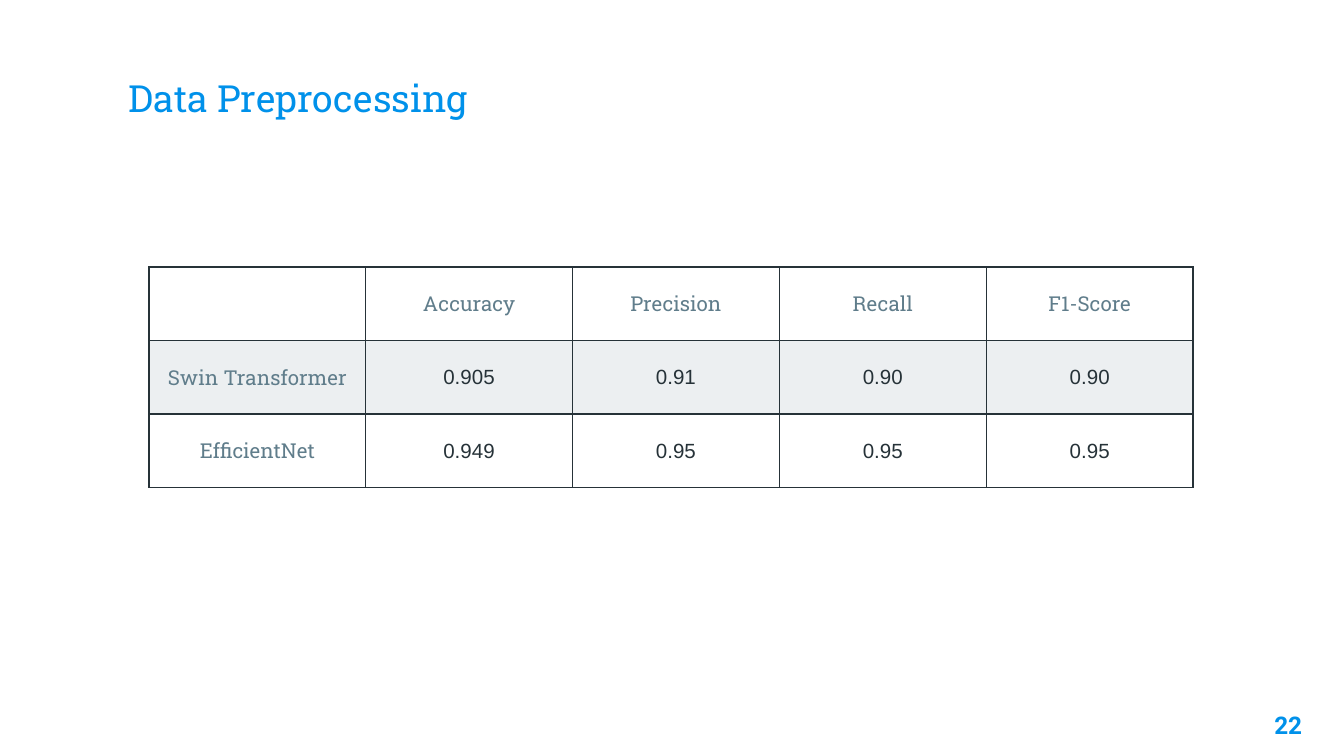
from dataclasses import dataclass

from lxml import etree
from pptx import Presentation
from pptx import util as u
from pptx.dml import color
from pptx.enum import text
from pptx.oxml import ns

COLORS = {
    "accent": "0091EA",
    "label": "607D8B",
    "dark": "263238",
    "band": "ECEFF1",
}
SLAB = "Roboto Slab"
INSET = 0.25
CELL_INSET = 0.18
COLUMN_WIDTHS = [4.09] + [3.91] * 4
ROW_HEIGHT = 1.39


@dataclass
class Result:
    model: str
    scores: tuple[str, ...]
    fill: str | None = None


METRICS = Result("", ("Accuracy", "Precision", "Recall", "F1-Score"))
RESULTS = [
    Result("Swin Transformer", ("0.905", "0.91", "0.90", "0.90"), "band"),
    Result("EfficientNet", ("0.949", "0.95", "0.95", "0.95")),
]


def write(frame, words: str, *, size: float, font: str, tint: str,
          align=text.PP_ALIGN.LEFT, bold: bool = False) -> None:
    para = frame.paragraphs[0]
    para.alignment = align
    span = para.add_run()
    span.text = words
    span.font.size = u.Pt(size)
    span.font.name = font
    span.font.bold = bold
    span.font.color.rgb = color.RGBColor.from_string(COLORS[tint])


def prepare(box, *, left: float, top: float, width: float, height: float,
            anchor=text.MSO_ANCHOR.TOP) -> None:
    box.left, box.top = u.Cm(left), u.Cm(top)
    box.width, box.height = u.Cm(width), u.Cm(height)
    frame = box.text_frame
    frame.word_wrap = True
    frame.auto_size = text.MSO_AUTO_SIZE.NONE
    frame.vertical_anchor = anchor
    frame.margin_left = frame.margin_right = u.Cm(INSET)
    frame.margin_top = frame.margin_bottom = u.Cm(INSET)


def add_borders(cell) -> None:
    properties = cell._tc.get_or_add_tcPr()
    for side in ("lnL", "lnR", "lnT", "lnB"):
        line = etree.SubElement(properties, ns.qn(f"a:{side}"), w=str(u.Pt(1)))
        solid = etree.SubElement(line, ns.qn("a:solidFill"))
        etree.SubElement(solid, ns.qn("a:srgbClr"), val=COLORS["dark"])


def draw_cell(cell, words: str, *, is_label: bool, fill: str | None) -> None:
    add_borders(cell)
    if fill:
        cell.fill.solid()
        cell.fill.fore_color.rgb = color.RGBColor.from_string(COLORS[fill])
    else:
        cell.fill.background()
    cell.vertical_anchor = text.MSO_ANCHOR.MIDDLE
    cell.margin_left = cell.margin_right = u.Cm(INSET)
    cell.margin_top = cell.margin_bottom = u.Cm(CELL_INSET)
    if words:
        write(cell.text_frame, words, size=11,
              font=SLAB if is_label else "Arial",
              tint="label" if is_label else "dark",
              align=text.PP_ALIGN.CENTER)


def draw_table(slide, results: list[Result], *, left: float, top: float) -> None:
    table = slide.shapes.add_table(
        len(results), len(COLUMN_WIDTHS), u.Cm(left), u.Cm(top),
        u.Cm(sum(COLUMN_WIDTHS)), u.Cm(ROW_HEIGHT * len(results))).table
    table.first_row = table.horz_banding = False
    for column, width in zip(table.columns, COLUMN_WIDTHS):
        column.width = u.Cm(width)
    for i, result in enumerate(results):
        table.rows[i].height = u.Cm(ROW_HEIGHT)
        for j, words in enumerate((result.model, *result.scores)):
            draw_cell(table.cell(i, j), words,
                      is_label=i == 0 or j == 0, fill=result.fill)


def main() -> None:
    deck = Presentation()
    deck.slide_width, deck.slide_height = u.Cm(25.4), u.Cm(14.29)
    slide = deck.slides.add_slide(deck.slide_layouts[5])

    title = slide.shapes.title
    prepare(title, left=2.18, top=0.86, width=21.03, height=1.96,
            anchor=text.MSO_ANCHOR.MIDDLE)
    write(title.text_frame, "Data Preprocessing",
          size=20, font=SLAB, tint="accent")

    number = slide.shapes.add_textbox(0, 0, 0, 0)
    prepare(number, left=23.34, top=13.18, width=1.52, height=1.09)
    write(number.text_frame, "22", size=13, font="Roboto", tint="accent",
          align=text.PP_ALIGN.RIGHT, bold=True)

    draw_table(slide, [METRICS, *RESULTS], left=2.82, top=5.05)
    deck.save("out.pptx")


if __name__ == "__main__":
    main()
